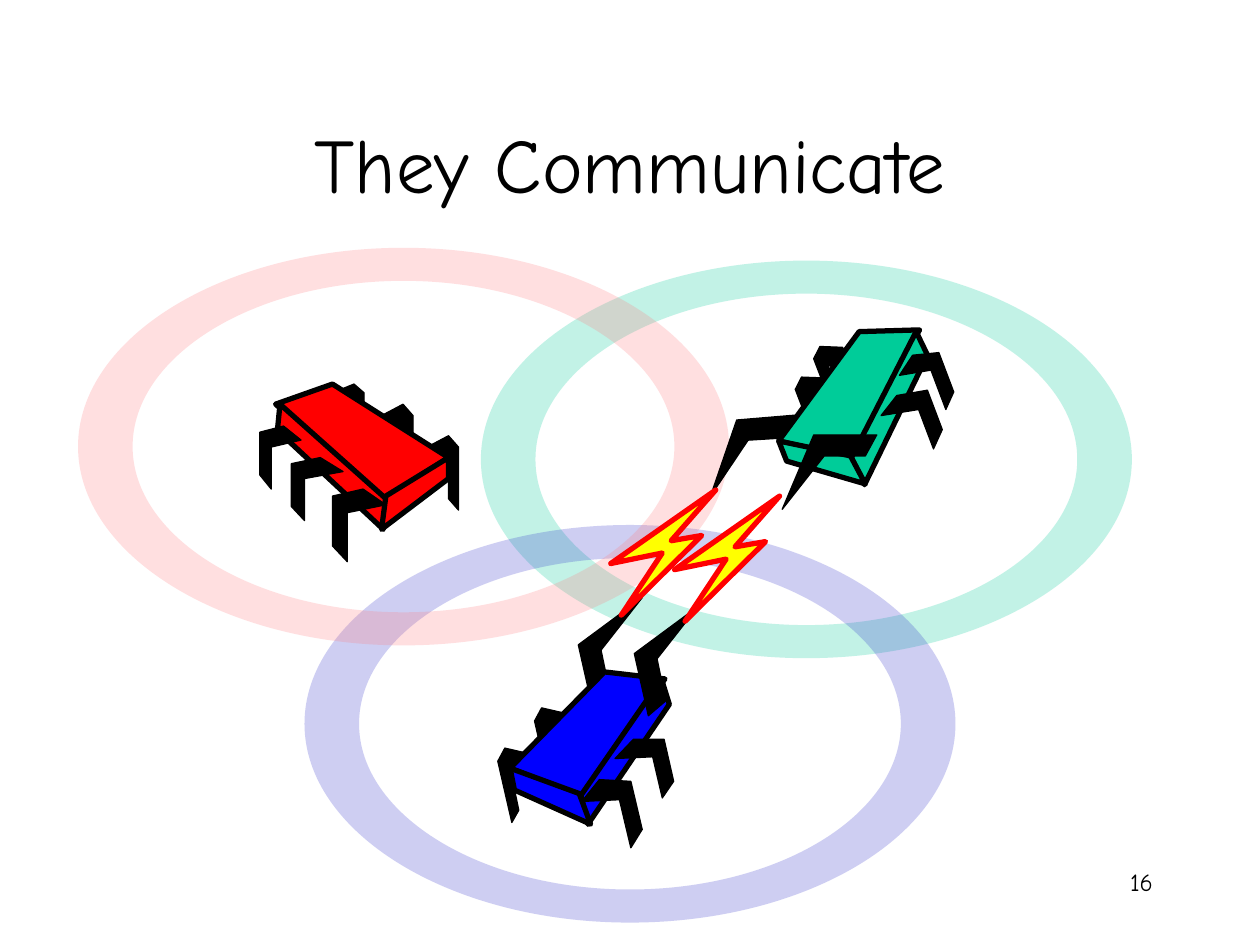
"""Builds a slide of three robots in overlapping ranges, two of them communicating."""
from math import cos, radians, sin

from lxml import etree
from pptx import Presentation
from pptx.dml.color import RGBColor
from pptx.enum.text import MSO_ANCHOR, PP_ALIGN
from pptx.oxml.ns import qn
from pptx.util import Pt

MIDDLE, TOP = MSO_ANCHOR.MIDDLE, MSO_ANCHOR.TOP
CENTER, RIGHT = PP_ALIGN.CENTER, PP_ALIGN.RIGHT
BLACK = RGBColor(0, 0, 0)
RED = RGBColor(0xFF, 0, 0)
BLUE = RGBColor(0, 0, 0xFF)
GREEN = RGBColor(0, 0xCC, 0x99)
YELLOW = RGBColor(0xFF, 0xFF, 0)
PINK = RGBColor(0xFF, 0x7C, 0x80)
INDIGO = RGBColor(0x33, 0x33, 0xCC)
FONT = "Comic Neue"

TITLE = ("They Communicate", (54, 48, 612, 90), 44, CENTER, MIDDLE)
NUMBER = ("16", (516, 492, 150, 36), 14, RIGHT, TOP)

OUTER, INNER = (186, 113.6), (154.8, 94.7)
CURVE = 0.55
RING_ALPHA = 24
BACK_RINGS = [(460.8, 262.5, GREEN), (360, 413.6, INDIGO)]
FRONT_RING = (230.6, 255.2, PINK)

LIMB = (BLACK, BLACK, 0.75)
RED_BODY = (RED, BLACK, 3)
BLUE_BODY = (BLUE, BLACK, 3)
GREEN_BODY = (GREEN, BLACK, 3)
SPARK = (YELLOW, RED, 3)
BLUE_TURN, GREEN_TURN, BOLT_TURN = 346.8, 338.9, 349.3

RED_BACK_LEG = [(244, 255.5), (256.3, 249), (262, 255.5), (262, 291.5),
                (256.3, 285), (256.3, 261.5), (244, 267)]
BLUE_CLAW = [(338.5, 404), (348.5, 395.5), (343.5, 371.5), (367, 341.5), (330.5, 368.5)]
BLUE_BACK_LEG = [(301.5, 430.5), (288.5, 427.5), (284.5, 435), (292.5, 470),
                 (296.5, 463), (291.5, 439), (304.5, 443)]
GREEN_BACK_LEG = [(481.5, 198.5), (468.5, 198), (465, 205), (478, 239),
                  (481.5, 231), (473, 209), (486, 210)]
BOLT = [(355, 351.5), (378.5, 316), (349, 322), (409, 280), (383.5, 309), (401, 306)]


def shifted(outline, dx, dy):
    """Return the outline moved by dx and dy."""
    return [(x + dx, y + dy) for x, y in outline]


RED_ROBOT = [
    (LIMB, 0, RED_BACK_LEG),
    (LIMB, 0, shifted(RED_BACK_LEG, -26, -18)),
    (LIMB, 0, [(190, 224.5), (202.3, 219.5), (208, 224.5), (208, 255.5),
               (202.3, 250), (202.3, 229.5), (190, 234.5)]),
    (RED_BODY, 0, [(190, 219.5), (256.3, 261.5), (219, 286), (157.5, 231)]),
    (RED_BODY, 0, [(160, 231), (220.5, 285), (219, 302.5), (158.5, 246)]),
    (RED_BODY, 0, [(256.3, 261.5), (256.3, 273.5), (218, 302.5), (220.5, 283.5)]),
    (LIMB, 0, [(207.5, 279.5), (220.5, 288.5), (198.5, 293), (198.5, 321), (190, 312), (190, 283.5)]),
    (LIMB, 0, [(183, 261.5), (196, 269.5), (174, 273.5), (174, 297.5), (166.5, 289.5), (166.5, 265)]),
    (LIMB, 0, [(162, 243.5), (172, 251.5), (155, 255.5), (155, 279.5), (148.5, 271.5), (148.5, 247)]),
]
BLUE_ROBOT = [(style, BLUE_TURN, outline) for style, outline in [
    (LIMB, BLUE_CLAW),
    (LIMB, BLUE_BACK_LEG),
    (LIMB, shifted(BLUE_BACK_LEG, 21, -23)),
    (BLUE_BODY, [(345.5, 384), (291.5, 439), (332.5, 455), (380, 388)]),
    (BLUE_BODY, [(378, 388), (332, 454.5), (336, 471), (382.5, 402.5)]),
    (BLUE_BODY, [(291.5, 439), (294, 451.5), (337.5, 471), (331, 453.5)]),
    (LIMB, [(342.5, 445.5), (332.5, 458), (354, 457), (360.5, 484.5), (367, 474), (360.5, 446.5)]),
    (LIMB, [(362, 422.5), (351.5, 433.5), (373, 432.5), (378.5, 456), (385, 446.5), (379.5, 422.5)]),
    (LIMB, shifted(BLUE_CLAW, 32, 5)),
]]
GREEN_ROBOT = [
    (LIMB, 265.5, [(457, 237), (452, 250), (427.5, 251.5), (406, 283.5), (421, 240)]),
    *((style, GREEN_TURN, outline) for style, outline in [
        (LIMB, GREEN_BACK_LEG),
        (LIMB, shifted(GREEN_BACK_LEG, -10.5, 17.5)),
        (GREEN_BODY, [(491, 189.5), (445, 252), (488, 262), (525.5, 188.5)]),
        (GREEN_BODY, [(523.5, 189.5), (486.5, 261.5), (494, 277), (530, 203)]),
        (GREEN_BODY, [(445, 252), (449.5, 263.5), (494.5, 276.5), (486, 260.5)]),
        (LIMB, [(521.5, 203), (514, 214.5), (532, 211.5), (540.5, 234), (545, 224), (536.5, 201.5)]),
        (LIMB, [(512.5, 226), (503.5, 237.5), (525, 234), (533.5, 256.5), (538.5, 245.5), (530, 223)]),
    ]),
    (LIMB, 270, [(501, 248.5), (494.5, 260.5), (471, 260.5), (447, 291), (465, 248.5)]),
]
BOLTS = [(SPARK, BOLT_TURN, BOLT), (SPARK, BOLT_TURN, shifted(BOLT, 36.5, 3.5))]


def turned(x, y, angle):
    """Return a point turned clockwise about the page corner."""
    c, s = cos(radians(angle)), sin(radians(angle))
    return x * c - y * s, x * s + y * c


def upright(outline, angle):
    """Return the outline as it stands before its shape is rotated by angle."""
    level = [turned(x, y, -angle) for x, y in outline]
    middle = [(min(values) + max(values)) / 2 for values in zip(*level)]
    x, y = turned(*middle, angle)
    return shifted(level, x - middle[0], y - middle[1])


def add_outline(shapes, contours, fill):
    """Add one filled freeform made of closed contours."""
    contours = [[(Pt(x), Pt(y)) for x, y in contour] for contour in contours]
    builder = shapes.build_freeform(*contours[0][0])
    for index, contour in enumerate(contours):
        if index:
            builder.move_to(*contour[0])
        builder.add_line_segments(contour[1:], close=True)
    shape = builder.convert_to_shape()
    shape.shadow.inherit = False
    shape.fill.solid()
    shape.fill.fore_color.rgb = fill
    return shape


def ellipse(x, y, rx, ry):
    """Return the start, control and end points of four quarter curves."""
    unit = []
    for c, s in ((-1, 0), (0, -1), (1, 0), (0, 1)):
        unit += [(c, s), (c - CURVE * s, s + CURVE * c), (CURVE * c - s, CURVE * s + c)]
    return [(x + rx * u, y + ry * v) for u, v in unit + unit[:1]]


def add_ring(page, x, y, color):
    """Add a translucent elliptical ring around a centre."""
    ring = add_outline(page.shapes, [ellipse(x, y, *radii) for radii in (OUTER, INNER)], color)
    ring.line.fill.background()
    lines = list(ring._element.iter(qn("a:lnTo")))
    for first, second, third in zip(lines[::3], lines[1::3], lines[2::3]):
        curve = etree.Element(qn("a:cubicBezTo"))
        first.addprevious(curve)
        for line in (first, second, third):
            curve.append(line[0])
            line.getparent().remove(line)
    tint = ring._element.spPr.find(qn("a:solidFill"))[0]
    etree.SubElement(tint, qn("a:alpha")).set("val", str(RING_ALPHA * 1000))


def add_parts(shapes, parts):
    """Add outlined polygons in order."""
    for (fill, edge, width), angle, outline in parts:
        part = add_outline(shapes, [upright(outline, angle)], fill)
        part.rotation = angle
        part.line.color.rgb = edge
        part.line.width = Pt(width)


def add_text(page, text, place, size, align, anchor):
    """Add a text box with one run."""
    box = page.shapes.add_textbox(*map(Pt, place))
    frame = box.text_frame
    frame.word_wrap = True
    frame.vertical_anchor = anchor
    para = frame.paragraphs[0]
    para.alignment = align
    span = para.add_run()
    span.text = text
    span.font.name = FONT
    span.font.size = Pt(size)
    span.font.color.rgb = BLACK


def main():
    """Build and save the deck."""
    deck = Presentation()
    deck.slide_width, deck.slide_height = Pt(720), Pt(540)
    page = deck.slides.add_slide(deck.slide_layouts[6])
    add_text(page, *NUMBER)
    for ring in BACK_RINGS:
        add_ring(page, *ring)
    add_text(page, *TITLE)
    add_ring(page, *FRONT_RING)
    for robot in (RED_ROBOT, BLUE_ROBOT, GREEN_ROBOT):
        add_parts(page.shapes.add_group_shape().shapes, robot)
    add_parts(page.shapes, BOLTS)
    deck.save("out.pptx")


if __name__ == "__main__":
    main()
